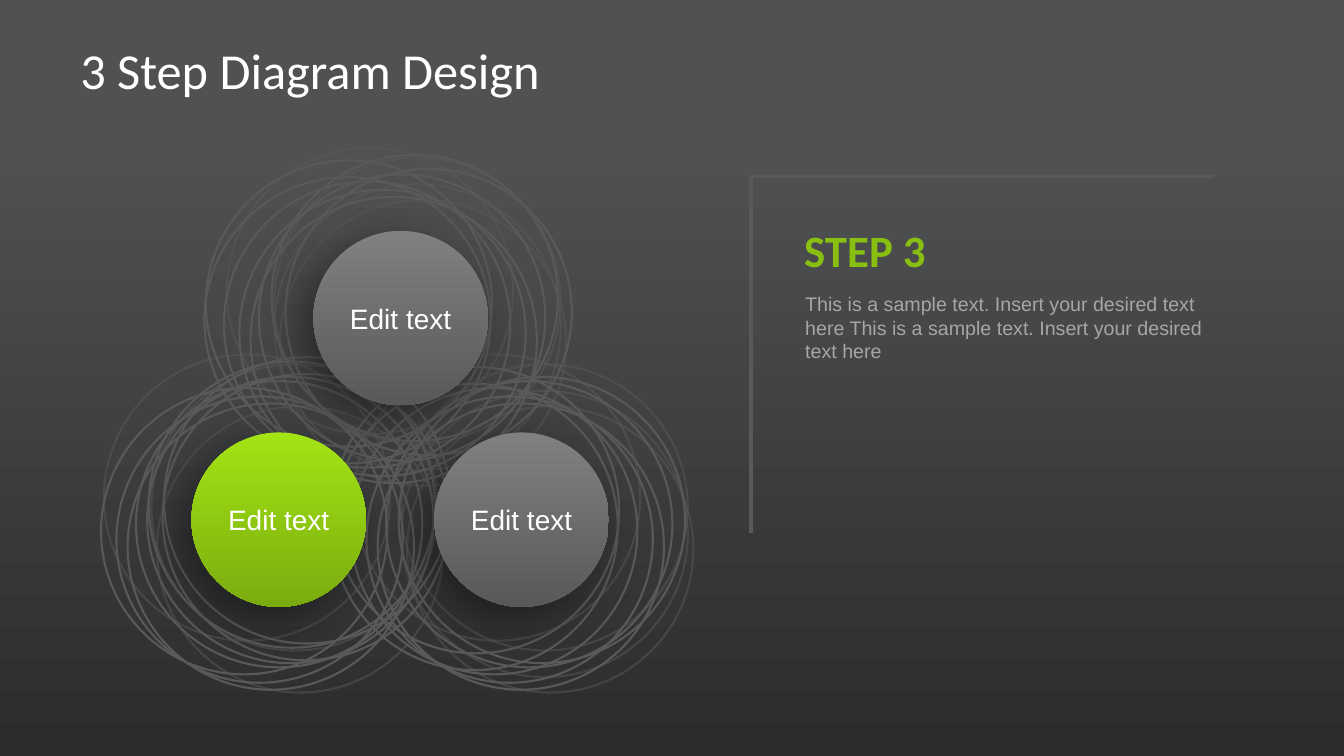
"""Build a three step diagram slide with ringed discs and a text panel."""
from lxml import etree
from pptx import Presentation
from pptx.dml.color import RGBColor
from pptx.enum.shapes import MSO_CONNECTOR, MSO_SHAPE
from pptx.enum.text import MSO_ANCHOR, MSO_AUTO_SIZE, PP_ALIGN
from pptx.oxml.ns import qn
from pptx.util import Pt

OVAL = MSO_SHAPE.OVAL
LINE = MSO_CONNECTOR.STRAIGHT
LEFT, MID = PP_ALIGN.LEFT, PP_ALIGN.CENTER
TOP, CENTER, BASE = MSO_ANCHOR.TOP, MSO_ANCHOR.MIDDLE, MSO_ANCHOR.BOTTOM
FIXED, GROW = MSO_AUTO_SIZE.NONE, MSO_AUTO_SIZE.SHAPE_TO_FIT_TEXT

SHARED = [(0, 0, 100), (-23, -19, 50), (11, -12, 50), (-6, 16, 100),
          (-14, 11, 100), (-25, 5, 100), (15, 18, 50)]
RINGS = [
    (185, 124.6, [(11, 7, 50), (9, -14, 100), (-39, 2, 100),
                  (-38, -10, 100), (19, -4, 100)]),
    (275.8, 272.2, [(11, 7, 50), (9, -3, 100), (-39, 2, 100), (-38, -10, 100)]),
    (97.2, 272.2, [(8, -3, 100), (9, -14, 100), (19, -5, 100), (20, -17, 100)]),
]
GRAY = ("808080", "595959")
LIME = ("A3E314", "7BAC0F")
DISCS = [(223.9, 164.9, GRAY), (136.8, 308.9, LIME), (310.3, 308.9, GRAY)]
SAMPLE = ("This is a sample text. Insert your desired text here "
          "This is a sample text. Insert your desired text here")


def tint(code):
    return RGBColor.from_string(code)


def place(shape, box):
    shape.left, shape.top, shape.width, shape.height = map(Pt, box)


def blend(fill, start, pair):
    fill.gradient()
    fill.gradient_angle = 270
    for stop, spot, code in zip(fill.gradient_stops, (start, 1), pair):
        stop.color.rgb = tint(code)
        stop.position = spot


def fade(color, share):
    etree.SubElement(color, qn("a:alpha"), val=str(share * 1000))


class Deck:
    """Holds the style and the current slide."""

    head, body = "Calibri", "Arial"
    white, stroke = "FFFFFF", "595959"
    ring_size, disc_size = 204.5, 124.6

    def __init__(self, show):
        self.slide = show.slides.add_slide(show.slide_layouts[5])
        self.shapes = self.slide.shapes
        blend(self.slide.background.fill, 0.19, ("505153", "2B2C2E"))

    def letter(self, shape, text, size, font, code, align=LEFT, anchor=TOP,
               pad=(7.2, 3.6), fit=FIXED, bold=False):
        frame = shape.text_frame
        frame.text = text
        frame.word_wrap = True
        frame.auto_size = fit
        frame.vertical_anchor = anchor
        frame.margin_left = frame.margin_right = Pt(pad[0])
        frame.margin_top = frame.margin_bottom = Pt(pad[1])
        para = frame.paragraphs[0]
        para.alignment = align
        face = para.runs[0].font
        face.name, face.size, face.bold = font, Pt(size), bold
        face.color.rgb = tint(code)

    def title(self, text, box):
        shape = self.shapes.title
        place(shape, box)
        self.letter(shape, text, 36, self.head, self.white, anchor=CENTER,
                    pad=(9.36, 5))

    def label(self, text, box, size, font, code, **style):
        shape = self.shapes.add_textbox(*map(Pt, box))
        self.letter(shape, text, size, font, code, fit=GROW, **style)

    def oval(self, x, y, size):
        shape = self.shapes.add_shape(OVAL, Pt(x), Pt(y), Pt(size), Pt(size))
        shape.shadow.inherit = False
        return shape

    def ring(self, x, y, share):
        shape = self.oval(x, y, self.ring_size)
        shape.fill.background()
        shape.line.color.rgb = tint(self.stroke)
        shape.line.width = Pt(1.5)
        if share < 100:
            fade(next(shape.element.spPr.iter(qn("a:srgbClr"))), share)

    def disc(self, x, y, pair, text):
        shape = self.oval(x, y, self.disc_size)
        blend(shape.fill, 0.01, pair)
        shape.line.fill.background()
        shade = etree.SubElement(
            shape.element.spPr.find(qn("a:effectLst")), qn("a:outerShdw"),
            blurRad=str(Pt(34)), dist=str(Pt(12)), dir=str(135 * 60000),
            algn="tr", rotWithShape="0")
        fade(etree.SubElement(shade, qn("a:srgbClr"), val="000000"), 44)
        self.letter(shape, text, 20, self.body, self.white, align=MID,
                    anchor=CENTER, pad=(0, 0))

    def rule(self, *ends):
        line = self.shapes.add_connector(LINE, *map(Pt, ends))
        line.line.color.rgb = tint(self.stroke)
        line.line.width = Pt(2.25)
        etree.SubElement(line.element.spPr, qn("a:effectLst"))


def main():
    show = Presentation()
    show.slide_width, show.slide_height = Pt(960), Pt(540)
    deck = Deck(show)
    deck.title("3 Step Diagram Design", (48, 21.6, 864, 56.2))
    for x, y, extra in RINGS:
        for dx, dy, share in SHARED + extra:
            deck.ring(x + dx, y + dy, share)
    for x, y, pair in DISCS:
        deck.disc(x, y, pair, "Edit text")
    deck.label(SAMPLE, (568.1, 205.2, 298.8, 58.3), 14, deck.body, "A6A6A6")
    deck.label("STEP 3", (567.4, 154.8, 299.5, 46.1), 32, deck.head, "89BF11",
               anchor=BASE, bold=True)
    for end in ((536.4, 380.9), (866.9, 126)):
        deck.rule(536.4, 126, *end)
    show.save("out.pptx")


if __name__ == "__main__":
    main()
